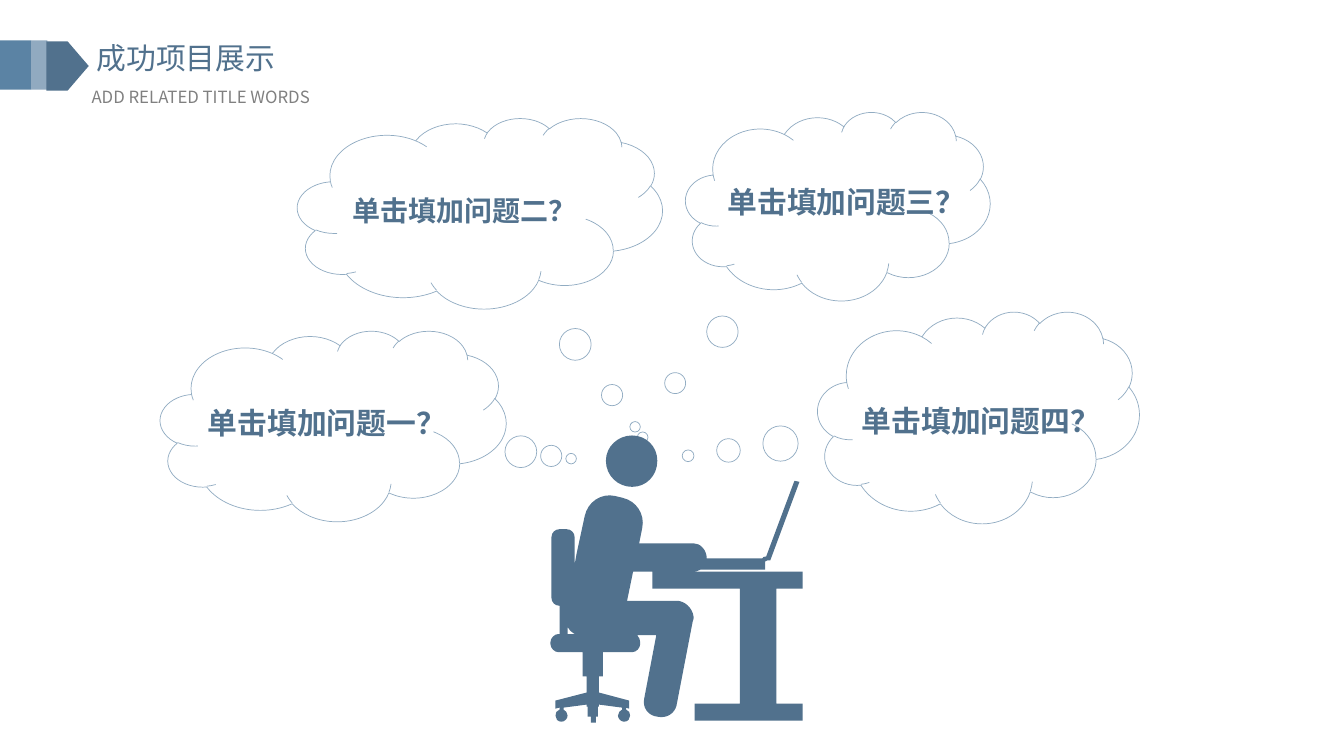
from lxml import etree
from pptx import Presentation
from pptx.dml.color import RGBColor
from pptx.enum.shapes import MSO_SHAPE
from pptx.enum.text import MSO_ANCHOR, PP_ALIGN
from pptx.oxml.ns import qn
from pptx.util import Inches, Pt

RECTANGLE = MSO_SHAPE.RECTANGLE
ARROW_TAG = MSO_SHAPE.PENTAGON
CLOUD = MSO_SHAPE.CLOUD_CALLOUT
LEFT, CENTER, JUSTIFY = PP_ALIGN.LEFT, PP_ALIGN.CENTER, PP_ALIGN.JUSTIFY
TOP, BOTTOM = MSO_ANCHOR.TOP, MSO_ANCHOR.BOTTOM

FONT = "Noto Sans CJK SC"
NAVY, BLUE, PALE, OUTLINE, GRAY = "51718D", "5B83A4", "91AAC0", "91ACC2", "808080"
UNITS_PER_INCH = 1000

# Title tag: left, top, width, kind, colour
TAG_PARTS = [
    (0, 0.4, 0.31, RECTANGLE, BLUE),
    (0.31, 0.4, 0.16, RECTANGLE, PALE),
    (0.46, 0.41, 0.42, ARROW_TAG, NAVY),
]

# Thought clouds: text, box, tail position, text size, alignment, wrapping
CLOUDS = [
    ("单击填加问题三？", (6.8, 1.11, 3.02, 1.87), (-0.666, 1.171), 21.3, LEFT, False),
    ("单击填加问题一？", (1.59, 3.28, 3.43, 1.89), (0.688, 0.172), 21.3, LEFT, False),
    ("单击填加问题四？", (8.11, 3.09, 3.19, 2.1), (-0.903, 0.182), 21.3, LEFT, False),
    ("单击填加问题二？", (2.95, 1.17, 3.62, 1.89), (0.446, 1.176), 20, CENTER, True),
]

# Outlines in inches: a pair is a corner, six numbers are a Bezier curve
HEAD = [
    (6.52, 4.57), (6.52, 4.43, 6.41, 4.32, 6.27, 4.32),
    (6.13, 4.32, 6.01, 4.43, 6.01, 4.57), (6.01, 4.72, 6.13, 4.83, 6.27, 4.83),
    (6.41, 4.83, 6.52, 4.72, 6.52, 4.57),
]
CHAIR_BASE = [
    (5.46, 6.37), (5.46, 6.39), (5.46, 6.43, 5.5, 6.47, 5.54, 6.47),
    (5.78, 6.47), (5.78, 6.71), (5.82, 6.71), (5.82, 6.87),
    (5.51, 6.95), (5.51, 7.03), (5.55, 7.02), (5.55, 7.04),
    (5.52, 7.05, 5.51, 7.07, 5.51, 7.1), (5.51, 7.13, 5.53, 7.16, 5.57, 7.16),
    (5.6, 7.16, 5.63, 7.13, 5.63, 7.1), (5.63, 7.07, 5.61, 7.05, 5.59, 7.04),
    (5.59, 7.02), (5.82, 6.99), (5.82, 7.01), (5.83, 7.01), (5.83, 7.11),
    (5.86, 7.11), (5.86, 7.17), (5.91, 7.17), (5.91, 7.11), (5.93, 7.11),
    (5.93, 7.01), (5.94, 7.01), (5.94, 6.99), (6.17, 7.02), (6.17, 7.04),
    (6.15, 7.05, 6.13, 7.07, 6.13, 7.1), (6.13, 7.13, 6.16, 7.16, 6.19, 7.16),
    (6.23, 7.16, 6.25, 7.13, 6.25, 7.1), (6.25, 7.07, 6.24, 7.05, 6.21, 7.04),
    (6.21, 7.02), (6.24, 7.03), (6.24, 6.95), (5.94, 6.87), (5.94, 6.71),
    (5.98, 6.71), (5.98, 6.47), (6.27, 6.47), (6.31, 6.47, 6.35, 6.43, 6.35, 6.39),
    (6.35, 6.37), (6.35, 6.35, 6.34, 6.32, 6.32, 6.3),
]
LEGS = [
    (6.51, 6.3), (6.39, 6.93), (6.37, 7.02, 6.43, 7.1, 6.52, 7.11),
    (6.61, 7.13, 6.69, 7.08, 6.71, 7), (6.87, 6.17),
    (6.88, 6.15, 6.88, 6.13, 6.88, 6.12), (6.87, 6.03, 6.79, 5.96, 6.71, 5.96),
    (6.22, 5.96),
]
ARM_AND_LAPTOP = [
    (6.28, 5.67), (6.88, 5.67), (6.91, 5.67, 6.93, 5.66, 6.95, 5.65),
    (7.59, 5.65), (7.59, 5.57), (7.61, 5.56), (7.64, 5.56), (7.93, 4.78),
    (7.88, 4.77), (7.6, 5.52), (7.58, 5.52, 7.56, 5.53, 7.56, 5.54),
    (7.01, 5.54), (7.01, 5.46, 6.95, 5.39, 6.88, 5.39), (6.34, 5.39),
]
BACK_AND_CHAIR = [
    (6.37, 5.24), (6.4, 5.1, 6.31, 4.97, 6.18, 4.94), (6.1, 4.92),
    (5.96, 4.89, 5.83, 4.98, 5.8, 5.12), (5.72, 5.49), (5.7, 5.6), (5.7, 5.33),
    (5.7, 5.28, 5.66, 5.25, 5.62, 5.25), (5.55, 5.25),
    (5.51, 5.25, 5.47, 5.28, 5.47, 5.33), (5.47, 5.93),
    (5.47, 5.97, 5.5, 6.01, 5.55, 6.01), (5.55, 6.29), (5.54, 6.29),
    (5.5, 6.29, 5.46, 6.33, 5.46, 6.37),
]
CHAIR_GAP = [(5.63, 6.22), (5.64, 6.25, 5.67, 6.27, 5.7, 6.29), (5.63, 6.29)]
DESK = [
    (7.34, 6.98), (6.89, 6.98), (6.89, 7.15), (7.96, 7.15), (7.96, 6.98),
    (7.7, 6.98), (7.7, 5.84), (7.96, 5.84), (7.96, 5.67), (6.47, 5.67),
    (6.47, 5.84), (7.34, 5.84),
]
BODY = CHAIR_BASE + LEGS + ARM_AND_LAPTOP + BACK_AND_CHAIR


def color(hex_string):
    return RGBColor.from_string(hex_string)


def style_shape(shape, fill=None, line=None):
    shape.shadow.inherit = False
    if fill:
        shape.fill.solid()
        shape.fill.fore_color.rgb = color(fill)
    else:
        shape.fill.background()
    if line:
        shape.line.color.rgb = color(line)
        shape.line.width = Pt(0.5)
    else:
        shape.line.fill.background()


def write_text(shape, text, *, size, font_color=NAVY, bold=False, align=LEFT,
               anchor=TOP, wrap=True, margins=(0.1, 0.05, 0.1, 0.05)):
    frame = shape.text_frame
    frame.word_wrap = wrap
    frame.vertical_anchor = anchor
    (frame.margin_left, frame.margin_top,
     frame.margin_right, frame.margin_bottom) = map(Inches, margins)
    paragraph = frame.paragraphs[0]
    paragraph.alignment = align
    run = paragraph.add_run()
    run.text = text
    run.font.size = Pt(size)
    run.font.bold = bold
    run.font.color.rgb = color(font_color)
    run.font.name = FONT
    east_asian = etree.SubElement(run._r.get_or_add_rPr(), qn("a:ea"))
    east_asian.set("typeface", FONT)


def add_label(slide, text, box, **text_format):
    write_text(slide.shapes.add_textbox(*map(Inches, box)), text, **text_format)


def add_preset(slide, kind, box, fill=None, line=None):
    shape = slide.shapes.add_shape(kind, *map(Inches, box))
    style_shape(shape, fill, line)
    return shape


def add_cloud(slide, text, box, tail, size, align, wrap):
    cloud = add_preset(slide, CLOUD, box, line=OUTLINE)
    cloud.adjustments[0], cloud.adjustments[1] = tail
    # The deep bottom margin lifts the text to the middle of the cloud
    write_text(cloud, text, size=size, bold=True, align=align, anchor=BOTTOM,
               wrap=wrap, margins=(0, 0.04, 0.04, 0.43))


def to_units(*lengths):
    return [round(length * UNITS_PER_INCH) for length in lengths]


def bend_segments(shape, outlines):
    """Turn the straight segments of the curved steps into Bezier curves."""
    steps = [step for outline in outlines for step in outline[1:]]
    ends = [to_units(*step[-2:]) for outline in outlines for step in outline]
    left, top = (min(values) for values in zip(*ends))
    segments = list(shape._element.iter(qn("a:lnTo")))
    for segment, step in zip(segments, steps):
        if len(step) == 2:
            continue
        units = to_units(*step)
        curve = etree.Element(qn("a:cubicBezTo"))
        for x, y in zip(units[::2], units[1::2]):
            point = etree.SubElement(curve, qn("a:pt"))
            point.set("x", str(x - left))
            point.set("y", str(y - top))
        segment.getparent().replace(segment, curve)


def add_silhouette(slide, outlines, fill):
    start = to_units(*outlines[0][0])
    builder = slide.shapes.build_freeform(*start, scale=Inches(1) / UNITS_PER_INCH)
    for index, outline in enumerate(outlines):
        first, *others = [to_units(*step[-2:]) for step in outline]
        if index:
            builder.move_to(*first)
        builder.add_line_segments(others, close=True)
    shape = builder.convert_to_shape()
    bend_segments(shape, outlines)
    style_shape(shape, fill)


def main():
    presentation = Presentation()
    presentation.slide_width = Inches(13.33)
    presentation.slide_height = Inches(7.5)
    slide = presentation.slides.add_slide(presentation.slide_layouts[6])

    # Title with its tag
    add_label(slide, "成功项目展示", (0.86, 0.34, 2.68, 0.46), size=21.3, align=JUSTIFY)
    add_label(slide, "ADD RELATED TITLE WORDS", (0.81, 0.81, 2.97, 0.3),
              size=12, font_color=GRAY, align=JUSTIFY)
    for left, top, width, kind, fill in TAG_PARTS:
        add_preset(slide, kind, (left, top, width, 0.49), fill)

    # Questions in thought clouds
    for cloud in CLOUDS:
        add_cloud(slide, *cloud)

    # Person at the desk
    add_silhouette(slide, [HEAD, BODY, CHAIR_GAP, DESK], NAVY)

    presentation.save("out.pptx")


if __name__ == "__main__":
    main()
